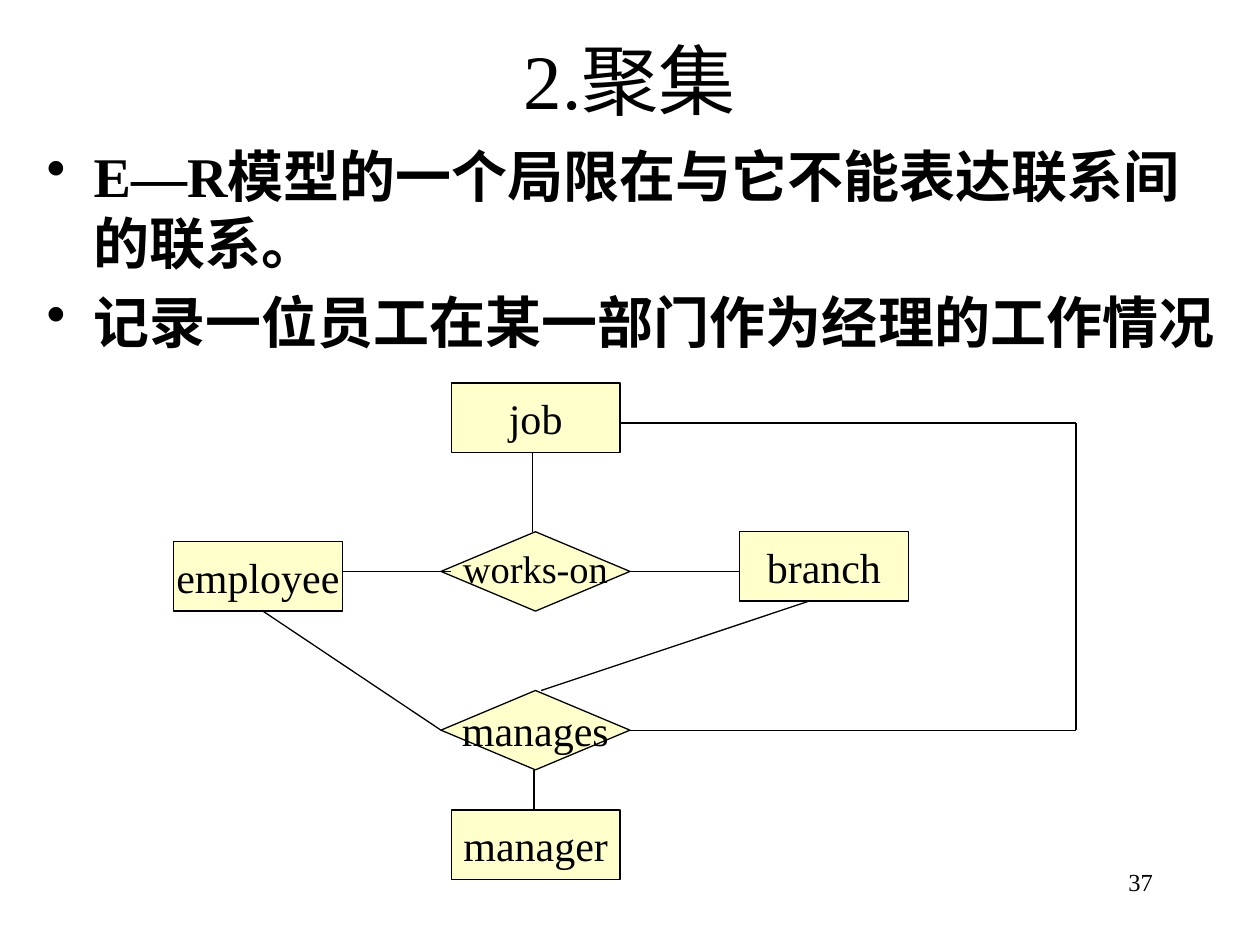
import pptx
import pptx.util
import pptx.dml.color
import pptx.enum.shapes
import pptx.enum.text
import pptx.oxml.ns
import lxml.etree

Cm, Pt = pptx.util.Cm, pptx.util.Pt
RGB = pptx.dml.color.RGBColor
Align = pptx.enum.text.PP_ALIGN
Anchor = pptx.enum.text.MSO_ANCHOR
Preset = pptx.enum.shapes.MSO_SHAPE

THEME = {
    "font": "Times New Roman",
    "ink": RGB(0, 0, 0),
    "fill": RGB(0xFF, 0xFF, 0xCC),
    "line": Pt(0.75),
    "title": 44, "body": 32, "node": 24, "tight": 22, "number": 14,
}

TITLE = "2.聚集"
BULLETS = ["E—R模型的一个局限在与它不能表达联系间的联系。",
           "记录一位员工在某一部门作为经理的工作情况"]
PAGE_NUMBER = "37"

# Diagram positions and sizes in centimetres
ENTITY_SIZE = (3.4, 1.4)
RELATION_SIZE = (3.81, 1.6)
ENTITIES = {"job": (9.1, 7.72), "employee": (3.5, 10.92),
            "branch": (14.91, 10.72), "manager": (9.1, 16.33)}
RELATIONS = {"works-on": (8.89, 10.72), "manages": (8.89, 13.92)}
LOOP_X, LOOP_Y = 21.69, 8.53


def write(shape, lines, size, align, anchor, bold=False, wrap=True):
    frame = shape.text_frame
    frame.text = "\n".join(lines)
    frame.word_wrap = wrap
    frame.vertical_anchor = anchor
    for para in frame.paragraphs:
        para.alignment = align
        for span in para.runs:
            span.font.name = THEME["font"]
            span.font.size = Pt(size)
            span.font.bold = bold
            span.font.color.rgb = THEME["ink"]
    return frame


def add_text(page, place, *args, **options):
    box = page.shapes.add_textbox(*map(Cm, place))
    return write(box, *args, **options)


def add_bullet(para):
    properties = para._p.get_or_add_pPr()
    properties.set("marL", str(Cm(0.95)))
    properties.set("indent", str(-Cm(0.95)))
    bullet = lxml.etree.SubElement(properties, pptx.oxml.ns.qn("a:buChar"))
    bullet.set("char", "•")


def add_node(page, name, place, size, preset, type_size):
    node = page.shapes.add_shape(preset, *map(Cm, place + size))
    node.shadow.inherit = False
    node.fill.solid()
    node.fill.fore_color.rgb = THEME["fill"]
    node.line.color.rgb = THEME["ink"]
    node.line.width = THEME["line"]
    return write(node, [name], type_size, Align.CENTER, Anchor.MIDDLE, wrap=False)


def add_line(page, start, end):
    line = page.shapes.add_connector(
        pptx.enum.shapes.MSO_CONNECTOR.STRAIGHT, *map(Cm, start + end))
    line.line.color.rgb = THEME["ink"]
    line.line.width = THEME["line"]
    lxml.etree.SubElement(line._element.spPr, pptx.oxml.ns.qn("a:effectLst"))


def point(name, across, down):
    """Return the point at the given fractions of a node's width and height."""
    if name in ENTITIES:
        (left, top), (width, height) = ENTITIES[name], ENTITY_SIZE
    else:
        (left, top), (width, height) = RELATIONS[name], RELATION_SIZE
    return left + across * width, top + down * height


def add_diagram(page):
    for name, place in ENTITIES.items():
        add_node(page, name, place, ENTITY_SIZE, Preset.RECTANGLE, THEME["node"])
    for name, place in RELATIONS.items():
        tight = name == "works-on"
        frame = add_node(page, name, place, RELATION_SIZE, Preset.FLOWCHART_DECISION,
                         THEME["tight" if tight else "node"])
        if tight:
            frame.margin_left = frame.margin_right = frame.margin_top = 0

    row_y = point("works-on", 0, 0.5)[1]
    job_x = point("job", 0.48, 1)[0]
    manager_x = point("manager", 0.49, 0)[0]
    manages_right = point("manages", 1, 0.5)
    loop = [manages_right, (LOOP_X, manages_right[1]),
            (LOOP_X, LOOP_Y), (point("job", 1, 0)[0], LOOP_Y)]
    links = [
        (point("manages", 0.53, 0), point("branch", 0.41, 1)),
        ((manager_x, point("manages", 0, 1)[1]), (manager_x, point("manager", 0, 0)[1])),
        (point("manages", 0, 0.5), point("employee", 0.53, 1)),
        (point("works-on", 1, 0.5), (point("branch", 0, 0)[0], row_y)),
        ((point("employee", 1, 0)[0], row_y), (point("job", 0, 0)[0], row_y)),
        ((job_x, point("job", 0, 1)[1]), (job_x, point("works-on", 0, 0)[1])),
    ]
    for start, end in links + list(zip(loop, loop[1:])):
        add_line(page, start, end)


def main():
    deck = pptx.Presentation()
    deck.slide_width, deck.slide_height = Cm(25.4), Cm(19.05)
    page = deck.slides.add_slide(deck.slide_layouts[6])

    add_text(page, (18.21, 17.35, 5.28, 1.27), [PAGE_NUMBER], THEME["number"],
             Align.RIGHT, Anchor.TOP)
    add_text(page, (1.9, 0, 21.6, 3.18), [TITLE], THEME["title"],
             Align.CENTER, Anchor.MIDDLE)
    body = add_text(page, (0.69, 2.72, 24.2, 4.6), BULLETS, THEME["body"],
                    Align.LEFT, Anchor.TOP, bold=True)
    for index, para in enumerate(body.paragraphs):
        add_bullet(para)
        if index:
            para.space_before = Pt(7)
    add_diagram(page)
    deck.save("out.pptx")


if __name__ == "__main__":
    main()
